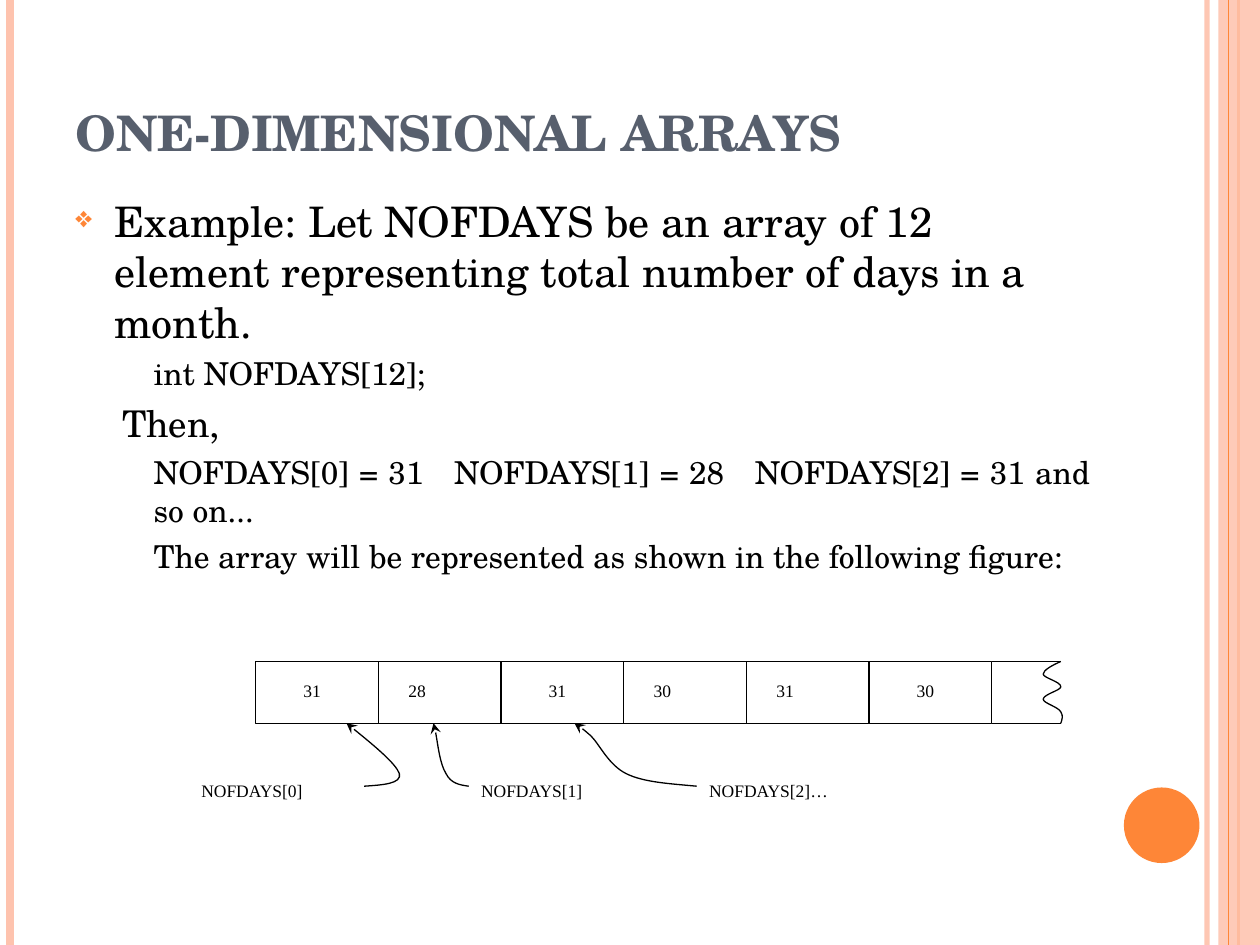
from dataclasses import dataclass
from pptx import Presentation
from pptx.dml.color import RGBColor as Rgb
from pptx.enum.shapes import MSO_CONNECTOR as Conn, MSO_SHAPE as Kind
from pptx.enum.text import MSO_ANCHOR as Anchor, MSO_AUTO_SIZE as Auto, PP_ALIGN as Align
from pptx.oxml.ns import qn
from pptx.util import Inches, Pt
from lxml.etree import SubElement as Sub


@dataclass(frozen=True)
class Theme:
    serif: str = "TeX Gyre Schola"
    plain: str = "Times New Roman"
    mark: str = "OpenSymbol"
    ink: str = "000000"
    paper: str = "FFFFFF"
    slate: str = "575F6D"
    peach: str = "FEC3AE"
    flame: str = "FE8637"
    title: float = 28
    lead: float = 24
    then: float = 21
    code: float = 18
    label: float = 10
    thin: float = 0.75


def put(item, **vals):
    for key, val in vals.items():
        setattr(item, key, val)


def fade(fill, pct):
    color = fill._xPr.find(qn("a:solidFill"))[0]
    Sub(color, qn("a:alpha"), val=str(pct * 1000))


def bend(shape):
    route = next(shape._element.iter(qn("a:path")))
    lines = route.findall(qn("a:lnTo"))
    for i in range(0, len(lines), 3):
        cubic = Sub(route, qn("a:cubicBezTo"))
        for line in lines[i:i + 3]:
            cubic.append(line[0])
            route.remove(line)


class Deck:
    def __init__(self, theme):
        self.look = theme
        self.file = Presentation()
        put(self.file, slide_width=Inches(10), slide_height=Inches(7.5))
        self.slide = self.file.slides.add_slide(self.file.slide_layouts[5])
        self.shapes = self.slide.shapes

    def font(self, run, size, name, color, bold=False):
        put(run.font, size=Pt(size), name=name, bold=bold)
        run.font.color.rgb = Rgb.from_string(color)

    def frame(self, shape, anchor=Anchor.TOP):
        put(shape.text_frame, word_wrap=True, auto_size=Auto.NONE, vertical_anchor=anchor,
            margin_left=Inches(0.1), margin_right=Inches(0.1),
            margin_top=Inches(0.05), margin_bottom=Inches(0.05))
        return shape.text_frame

    def title(self, text, box):
        shape = self.shapes.title
        put(shape, **dict(zip(("left", "top", "width", "height"), map(Inches, box))))
        para = self.frame(shape, Anchor.BOTTOM).paragraphs[0]
        para.alignment = Align.LEFT
        run = para.add_run()
        run.text = text
        look = self.look
        self.font(run, look.title, look.serif, look.slate, True)

    def box(self, *box):
        return self.frame(self.shapes.add_textbox(*map(Inches, box)))

    def label(self, text, *box):
        run = self.box(*box).paragraphs[0].add_run()
        run.text = text
        self.font(run, self.look.label, self.look.plain, self.look.ink)

    def para(self, para, parts, size, left, first, before, level, bullet=None):
        put(para, space_before=Pt(before), level=level,
            alignment=Align.LEFT if bullet else Align.JUSTIFY)
        props = para._p.get_or_add_pPr()
        props.set("marL", str(Inches(left)))
        props.set("indent", str(Inches(first)))
        if bullet:
            Sub(Sub(props, qn("a:buClr")), qn("a:srgbClr"), val=self.look.flame)
            Sub(props, qn("a:buSzPct"), val="70000")
            Sub(props, qn("a:buFont"), typeface=self.look.mark)
            Sub(props, qn("a:buChar"), char=bullet)
        for i, part in enumerate(parts):
            if i:
                gap = para.add_run()
                gap.text = " "
                self.font(gap, size, self.look.serif, self.look.ink)
                gap._r.get_or_add_rPr().set("spc", "1150")
            run = para.add_run()
            run.text = part
            self.font(run, size, self.look.serif, self.look.ink)

    def stroke(self, shape, color, width):
        shape.line.color.rgb = Rgb.from_string(color)
        shape.line.width = Pt(width)

    def solid(self, kind, box, fill, line=None, alpha=None):
        shape = self.shapes.add_shape(kind, *map(Inches, box))
        shape.shadow.inherit = False
        shape.fill.solid()
        shape.fill.fore_color.rgb = Rgb.from_string(fill)
        if alpha:
            fade(shape.fill, alpha)
        if line:
            self.stroke(shape, line, self.look.thin)
        else:
            shape.line.fill.background()

    def rule(self, start, end, color, width, alpha=None):
        line = self.shapes.add_connector(Conn.STRAIGHT, *map(Inches, start + end))
        self.stroke(line, color, width)
        if alpha:
            fade(line.line.fill, alpha)
        Sub(line._element.spPr, qn("a:effectLst"))

    def curve(self, start, dots, arrow=False):
        pen = self.shapes.build_freeform(*map(Inches, start))
        pen.add_line_segments([tuple(map(Inches, dot)) for dot in dots], close=False)
        shape = pen.convert_to_shape()
        bend(shape)
        shape.shadow.inherit = False
        shape.fill.background()
        self.stroke(shape, self.look.ink, self.look.thin)
        if arrow:
            Sub(shape.line._get_or_add_ln(), qn("a:tailEnd"), type="stealth")


def main():
    look = Theme()
    deck = Deck(look)

    def edge(x, color, width, alpha=None):
        deck.rule((x, 0), (x, 7.5), color, width, alpha)

    edge(9.58, look.peach, 3, 93)
    edge(0.08, look.peach, 4.5)
    edge(9.83, look.flame, 1.5)
    deck.solid(Kind.RECTANGLE, (9.67, 0, 0.33, 7.5), look.peach, alpha=87)
    edge(9.75, look.flame, 0.75)
    deck.solid(Kind.OVAL, (8.92, 6.25, 0.6, 0.6), look.flame)

    deck.title("ONE-DIMENSIONAL ARRAYS", (0.5, 0.3, 8.17, 1.03))
    code = (look.code, 0.62, 0, 4.5, 2)
    rows = [
        (["Example: Let NOFDAYS be an array of 12 element representing "
          "total number of days in a month."], look.lead, 0.31, -0.31, 6, 0, "❖"),
        (["int NOFDAYS[12];"], *code),
        (["Then,"], look.then, 0.5, -0.13, 5.2, 1),
        (["NOFDAYS[0] = 31", "NOFDAYS[1] = 28", "NOFDAYS[2] = 31 and so on..."], *code),
        (["The array will be represented as shown in the following figure:"], *code),
    ]
    body = deck.box(0.5, 1.5, 8.25, 5.58)
    for i, row in enumerate(rows):
        deck.para(body.add_paragraph() if i else body.paragraphs[0], *row)

    left, top, high = 2.03, 5.25, 0.49
    end, base = 7.87, top + high
    days = [("31", 0.28), ("28", 0.14), ("31", 0.28), ("30", 0.14), ("31", 0.14), ("30", 0.28)]
    wide = (end - left) / len(days)
    for i in range(len(days)):
        deck.solid(Kind.RECTANGLE, (left + i * wide, top, wide, high), look.paper, look.ink)
    for i, (day, shift) in enumerate(days):
        deck.label(day, left + i * wide + shift, top + 0.1, 0.56, 0.3)

    for y in (top, base):
        deck.rule((end, y), (8.42, y), look.ink, look.thin)
    deck.curve((8.42, top), [
        (8.35, 5.28), (8.28, 5.32), (8.28, 5.35),
        (8.28, 5.38), (8.42, 5.41), (8.42, 5.45),
        (8.42, 5.48), (8.28, 5.51), (8.28, 5.55),
        (8.28, 5.58), (8.4, 5.61), (8.42, 5.65),
        (8.44, 5.68), (8.43, 5.71), (8.42, base)])

    marks = [
        ("NOFDAYS[0]", 1.5, 1.39, (2.89, 6.24), [
            (3.04, 6.23), (3.19, 6.22), (3.17, 6.14),
            (3.14, 6.06), (2.95, 5.9), (2.75, base)]),
        ("NOFDAYS[1]", 3.72, 1.39, (3.72, 6.24), [
            (3.65, 6.23), (3.58, 6.22), (3.54, 6.14),
            (3.49, 6.06), (3.46, 5.79), (3.44, base)]),
        ("NOFDAYS[2]…", 5.53, 2.92, (5.53, 6.24), [
            (5.32, 6.22), (5.11, 6.21), (4.97, 6.14),
            (4.83, 6.07), (4.76, 5.91), (4.69, 5.84),
            (4.62, 5.78), (4.59, 5.76), (4.56, base)]),
    ]
    for text, x, width, start, dots in marks:
        deck.label(text, x, 6.14, width, 0.3)
        deck.curve(start, dots, arrow=True)

    deck.file.save("out.pptx")


if __name__ == "__main__":
    main()
